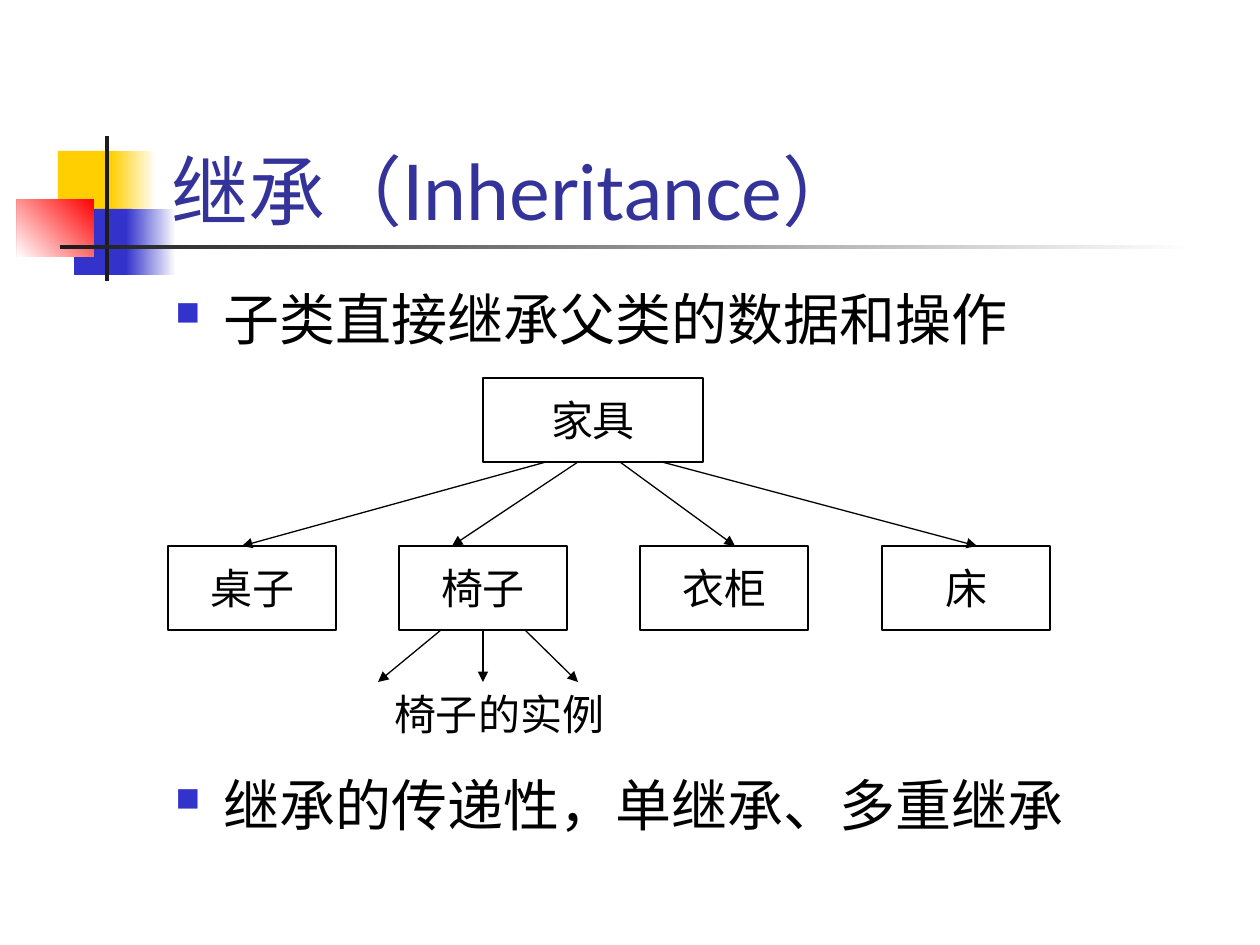
"""Build a slide on class inheritance with a furniture tree."""
from lxml import etree
from pptx import Presentation
from pptx.dml.color import RGBColor
from pptx.enum import shapes, text
from pptx.oxml import ns
from pptx import util as u

TITLE = ("继承（Inheritance）", (159, 84, 1074, 158))
POINTS = ["子类直接继承父类的数据和操作", "继承的传递性，单继承、多重继承"]
BODY = (163, 278, 1071, 567)
GAP = 239.4
ROOT = ("家具", (483, 378, 220, 84))
KIDS = [("桌子", 168), ("椅子", 399), ("衣柜", 640), ("床", 882)]
KID_TOP, KID_W, KID_H = 546, 168, 84
NOTE = ("椅子的实例", (294, 672, 410, 84))
KID_LINKS = [(546, 242), (578, 452), (620, 735), (662, 977)]
NOTE_LINKS = [(441, 378), (483, 483), (525, 578)]
NOTE_TIP = 682

THEME = {
    "gold": "FFCF01", "blue": "3333CC", "red": "FF0000", "dark": "1C1C1C",
    "white": "FFFFFF", "black": "000000", "title": "333399",
    "font": "Lato", "head": 44, "body": 32, "label": 24, "line": 0.75,
}
DECOR = [
    ((58, 151, 60, 66), ["gold"], 0),
    ((111, 151, 45, 66), ["white", "gold"], 180),
    ((74, 209, 58, 66), ["blue"], 0),
    ((126, 209, 50, 66), ["white", "blue"], 180),
    ((17, 199, 77, 58), ["red", "white"], 225),
    ((105, 136, 4, 145), ["dark"], 0),
    ((60, 245, 1134, 4), ["white", "dark"], 180),
]


def px(*vals):
    return [u.Emu(round(v * 914400 / 126)) for v in vals]


def tint(name):
    return RGBColor.from_string(THEME[name])


def style(para, size, color):
    for run in para.runs:
        run.font.name = THEME["font"]
        run.font.size = u.Pt(THEME[size])
        run.font.color.rgb = tint(color)


def add_rect(slide, area):
    rect = slide.shapes.add_shape(shapes.MSO_SHAPE.RECTANGLE, *px(*area))
    rect.shadow.inherit = False
    return rect


def add_decor(slide, area, cols, angle):
    rect = add_rect(slide, area)
    rect.line.fill.background()
    if len(cols) == 1:
        rect.fill.solid()
        rect.fill.fore_color.rgb = tint(cols[0])
        return
    rect.fill.gradient()
    rect.fill.gradient_angle = angle
    for stop, col, pos in zip(rect.fill.gradient_stops, cols, (0, 1)):
        stop.color.rgb = tint(col)
        stop.position = pos


def set_label(shape, words):
    frame = shape.text_frame
    frame.text = words
    frame.word_wrap = False
    frame.vertical_anchor = text.MSO_ANCHOR.MIDDLE
    para = frame.paragraphs[0]
    para.alignment = text.PP_ALIGN.CENTER
    style(para, "label", "black")


def add_node(slide, words, area):
    rect = add_rect(slide, area)
    rect.fill.background()
    rect.line.color.rgb = tint("black")
    rect.line.width = u.Pt(THEME["line"])
    set_label(rect, words)


def add_arrow(slide, *ends):
    link = slide.shapes.add_connector(shapes.MSO_CONNECTOR.STRAIGHT, *px(*ends))
    link.line.color.rgb = tint("black")
    link.line.width = u.Pt(THEME["line"])
    line = link.line._get_or_add_ln()
    etree.SubElement(line, ns.qn("a:tailEnd"), type="triangle")
    etree.SubElement(link._element.spPr, ns.qn("a:effectLst"))


def add_bullet(para):
    props = para._p.get_or_add_pPr()
    dent = px(48)[0]
    props.set("marL", str(dent))
    props.set("indent", str(-dent))
    color = etree.SubElement(props, ns.qn("a:buClr"))
    etree.SubElement(color, ns.qn("a:srgbClr"), val=THEME["blue"])
    etree.SubElement(props, ns.qn("a:buSzPct"), val="60000")
    etree.SubElement(props, ns.qn("a:buChar"), char="■")


def add_text(slide, words, area, size, color):
    frame = slide.shapes.add_textbox(*px(*area)).text_frame
    frame.word_wrap = True
    frame.text = words
    for para in frame.paragraphs:
        style(para, size, color)
    return frame


def main():
    deck = Presentation()
    deck.slide_width, deck.slide_height = px(1260, 945)
    slide = deck.slides.add_slide(deck.slide_layouts[6])
    for area, cols, angle in DECOR:
        add_decor(slide, area, cols, angle)

    body = add_text(slide, "\n".join(POINTS), BODY, "body", "black")
    for para, gap in zip(body.paragraphs, (8, GAP)):
        para.space_before = u.Pt(gap)
        add_bullet(para)
    head = add_text(slide, *TITLE, "head", "title")
    head.vertical_anchor = text.MSO_ANCHOR.BOTTOM

    add_node(slide, *ROOT)
    for words, left in KIDS:
        add_node(slide, words, (left, KID_TOP, KID_W, KID_H))
    root_end = ROOT[1][1] + ROOT[1][3]
    for start, end in KID_LINKS:
        add_arrow(slide, start, root_end, end, KID_TOP)
    for start, end in NOTE_LINKS:
        add_arrow(slide, start, KID_TOP + KID_H, end, NOTE_TIP)
    words, area = NOTE
    set_label(slide.shapes.add_textbox(*px(*area)), words)
    deck.save("out.pptx")


if __name__ == "__main__":
    main()
